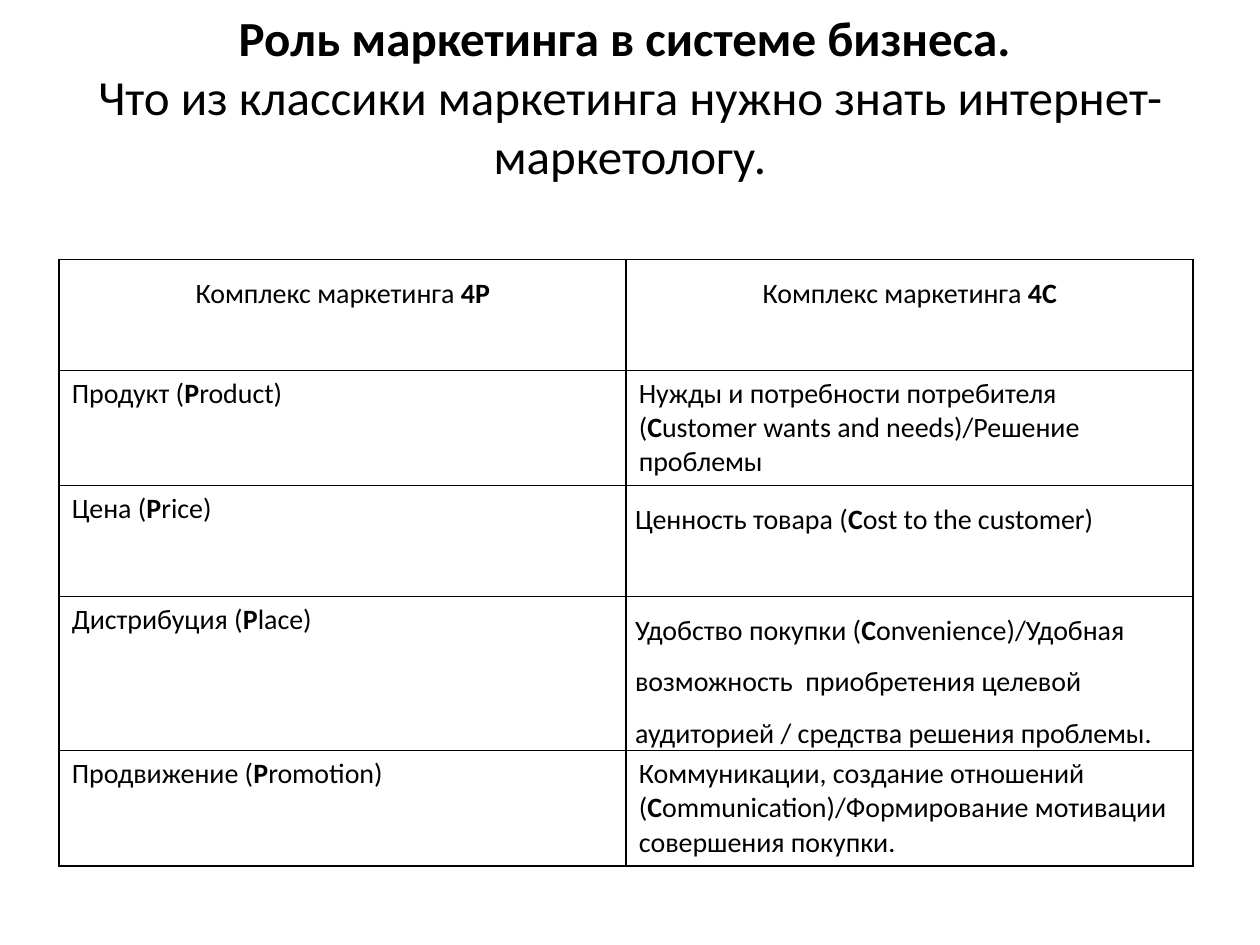
from lxml.etree import SubElement as Sub
from pptx import Presentation
from pptx.dml.color import RGBColor as Rgb
from pptx.enum.text import MSO_ANCHOR as Anchor, MSO_AUTO_SIZE as Fit, PP_ALIGN as Align
from pptx.oxml.ns import qn
from pptx.util import Inches as In, Pt

INK = "000000"
LOOSE = {"line": 1.5, "side": 0.07, "edge": 0}
HEAD = {"align": Align.CENTER, **LOOSE}
TITLE = "*Роль маркетинга в системе бизнеса. \v*Что из классики маркетинга нужно знать интернет-маркетологу."
ROWS = [
    [("Комплекс маркетинга *4P*", HEAD), ("Комплекс маркетинга *4C*", HEAD)],
    [("Продукт (*P*roduct)", {}),
     ("Нужды и потребности потребителя (*C*ustomer wants and needs)/Решение проблемы", {})],
    [("Цена (*P*rice)", {}), ("Ценность товара (*C*ost to the customer)", LOOSE)],
    [("Дистрибуция (*P*lace)", {}),
     ("Удобство покупки (*C*onvenience)/Удобная возможность  приобретения целевой "
      "аудиторией / средства решения проблемы.", LOOSE)],
    [("Продвижение (*P*romotion)", {}),
     ("Коммуникации, создание отношений (*C*ommunication)/Формирование мотивации "
      "совершения покупки.", {})],
]


def paint(item, tint):
    """Give a font its colour from a hex string."""
    item.color.rgb = Rgb.from_string(tint)


def write(frame, text, size=16, align=Align.LEFT, line=None):
    """Write text in a frame, with bold parts between asterisks."""
    para = frame.paragraphs[0]
    para.alignment = align
    if line:
        para.line_spacing = line
    for i, part in enumerate(text.split("*")):
        for j, piece in enumerate(part.split("\v")):
            if j:
                para.add_line_break()
            if piece:
                run = para.add_run()
                run.text = piece
                run.font.name = "Calibri"
                run.font.size = Pt(size)
                run.font.bold = i % 2 == 1
                paint(run.font, INK)


def border(cell, tint=INK, width=1):
    """Draw a solid line on all four sides of a cell."""
    props = cell._tc.get_or_add_tcPr()
    for i, side in enumerate(("lnL", "lnR", "lnT", "lnB")):
        line = props.makeelement(qn(f"a:{side}"), {"w": str(Pt(width))})
        fill = Sub(line, qn("a:solidFill"))
        Sub(fill, qn("a:srgbClr"), val=tint)
        props.insert(i, line)


def fill_cell(cell, text, side=0.1, edge=0.05, **form):
    """Set the margins, text and border of one cell."""
    cell.margin_left = cell.margin_right = In(side)
    cell.margin_top = cell.margin_bottom = In(edge)
    cell.fill.background()
    write(cell.text_frame, text, **form)
    border(cell)


def add_title(slide):
    """Place the heading in the title placeholder."""
    title = slide.shapes.title
    title.left, title.top, title.width, title.height = In(0.5), In(0.85), In(9), In(1.23)
    frame = title.text_frame
    frame.auto_size = Fit.NONE
    frame.word_wrap = True
    frame.vertical_anchor = Anchor.BOTTOM
    frame.margin_bottom = In(0.62)
    write(frame, TITLE, size=28, align=Align.CENTER)


def add_grid(slide):
    """Build the table that sets 4P against 4C."""
    high = 0.88 * len(ROWS)
    grid = slide.shapes.add_table(len(ROWS), 2, In(0.47), In(2.06), In(9), In(high)).table
    grid.first_row = grid.horz_banding = False
    for r, row in enumerate(ROWS):
        for c, (text, form) in enumerate(row):
            fill_cell(grid.cell(r, c), text, **form)


def main():
    """Build and save the slide."""
    deck = Presentation()
    deck.slide_width, deck.slide_height = In(10), In(7.5)
    slide = deck.slides.add_slide(deck.slide_layouts[5])
    add_title(slide)
    add_grid(slide)
    deck.save("out.pptx")


if __name__ == "__main__":
    main()
